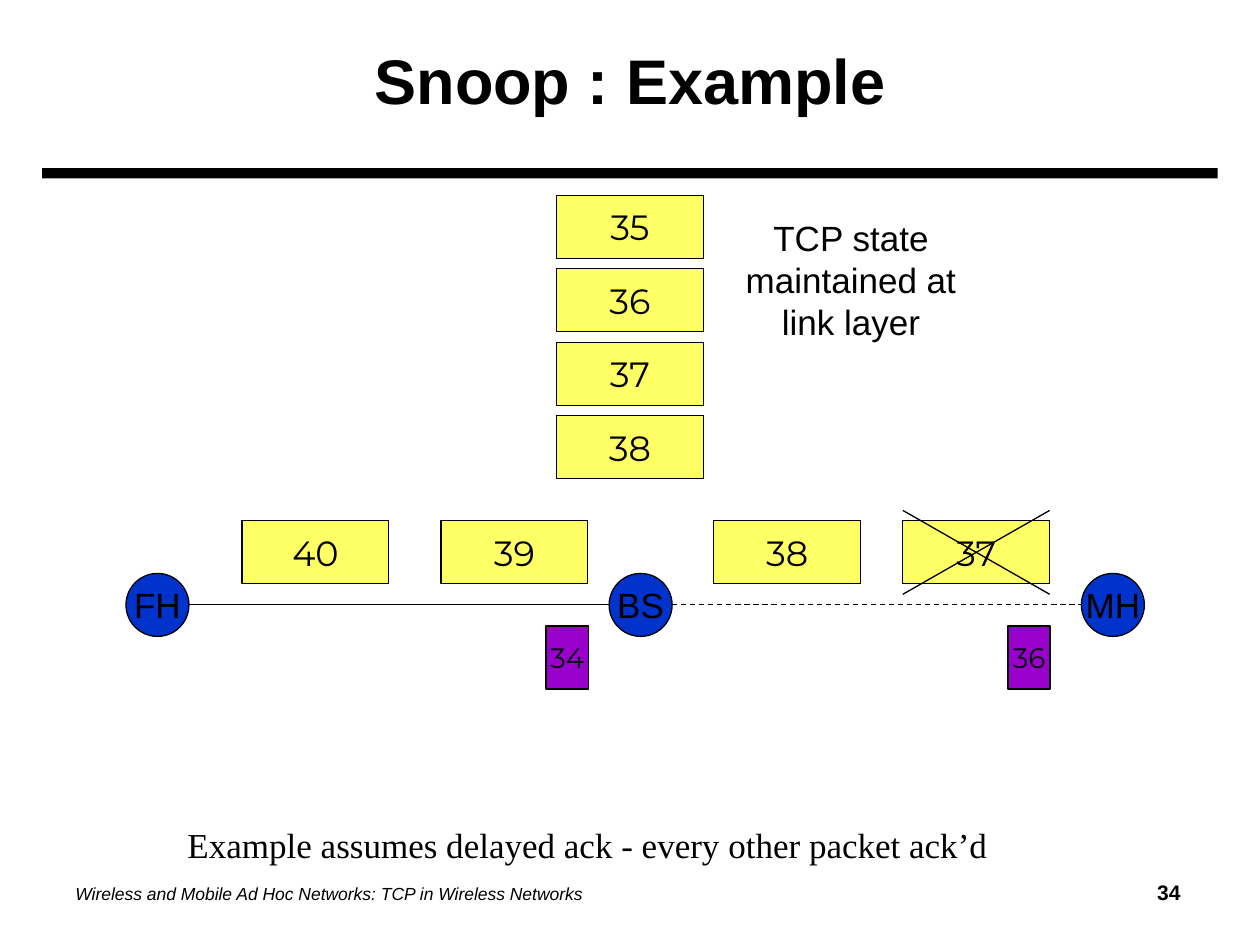
from dataclasses import dataclass, field
from typing import NamedTuple

from lxml.etree import SubElement
from pptx import Presentation
from pptx.dml.color import RGBColor
from pptx.enum.dml import MSO_LINE_DASH_STYLE as Dash
from pptx.enum.shapes import MSO_CONNECTOR as Connector, MSO_SHAPE as Preset
from pptx.enum.text import MSO_ANCHOR as Anchor, PP_ALIGN as Align
from pptx.oxml.ns import qn
from pptx.util import Cm, Pt


@dataclass(frozen=True)
class Theme:
    ink: str = "000000"
    host: str = "0033CC"
    packet: str = "FFFF66"
    ack: str = "9900CC"
    line_width: float = 0.75
    title: dict = field(default_factory=lambda: {"name": "Arial", "size": Pt(36), "bold": True})
    label: dict = field(default_factory=lambda: {"name": "Arial", "size": Pt(20)})
    packet_number: dict = field(default_factory=lambda: {"name": "Montserrat", "size": Pt(20)})
    ack_number: dict = field(default_factory=lambda: {"name": "Montserrat", "size": Pt(16)})
    caption: dict = field(default_factory=lambda: {"name": "Times New Roman", "size": Pt(20)})
    footer: dict = field(default_factory=lambda: {"name": "Arial", "size": Pt(10), "italic": True})
    page: dict = field(default_factory=lambda: {"name": "Arial", "size": Pt(12), "bold": True})


class Box(NamedTuple):
    left: float
    top: float
    width: float
    height: float

    def lengths(self) -> list:
        return [Cm(value) for value in self]


class Node(NamedTuple):
    text: str
    box: Box
    preset: Preset
    fill: str
    font: dict


class Link(NamedTuple):
    start: tuple[float, float]
    end: tuple[float, float]
    dash: Dash | None = None


THEME = Theme()
HOST_SIZE = 1.27
HOST_TOP = 11.56
HOST_LEFTS = {"FH": 2.54, "BS": 12.28, "MH": 21.8}
LINK_TOP = 12.19
PACKET_WIDTH = 2.96
PACKET_HEIGHT = 1.27
PACKET_TOP = 10.5
PACKET_LEFTS = {"40": 4.88, "39": 8.89, "38": 14.39, "37": 18.2}
CACHE_LEFT = 11.22
CACHE_TOP = 3.94
CACHE_PITCH = 1.48
CACHED_PACKETS = ("35", "36", "37", "38")
ACK_WIDTH = 0.85
ACK_TOP = 12.62
ACK_LEFTS = {"34": 11.01, "36": 20.32}
CROSS_OVERHANG = 0.21


def apply(target, values: dict) -> None:
    for name, value in values.items():
        setattr(target, name, value)


def format_font(font, values: dict) -> None:
    apply(font, values)
    font.color.rgb = RGBColor.from_string(THEME.ink)


def write(shape, text: str, font: dict, align: Align, wrap: bool = False) -> None:
    frame = shape.text_frame
    apply(frame, {"text": text, "word_wrap": wrap, "vertical_anchor": Anchor.MIDDLE})
    for paragraph in frame.paragraphs:
        paragraph.alignment = align
        for run in paragraph.runs:
            format_font(run.font, font)


def format_line(line) -> None:
    line.color.rgb = RGBColor.from_string(THEME.ink)
    line.width = Pt(THEME.line_width)


def add_filled_shape(slide, preset: Preset, box: Box, fill: str):
    shape = slide.shapes.add_shape(preset, *box.lengths())
    shape.shadow.inherit = False
    shape.fill.solid()
    shape.fill.fore_color.rgb = RGBColor.from_string(fill)
    return shape


def add_rule(slide) -> None:
    rule = add_filled_shape(slide, Preset.RECTANGLE, Box(0.85, 3.39, 23.7, 0.21), THEME.ink)
    rule.line.fill.background()


def add_node(slide, node: Node) -> None:
    shape = add_filled_shape(slide, node.preset, node.box, node.fill)
    format_line(shape.line)
    write(shape, node.text, node.font, Align.CENTER)


def add_link(slide, link: Link) -> None:
    connector = slide.shapes.add_connector(
        Connector.STRAIGHT, *(Cm(value) for value in link.start + link.end)
    )
    format_line(connector.line)
    if link.dash:
        connector.line.dash_style = link.dash
    SubElement(connector._element.spPr, qn("a:effectLst"))


def add_text(slide, text: str, box: Box, font: dict, align: Align) -> None:
    write(slide.shapes.add_textbox(*box.lengths()), text, font, align)


def add_title(slide, text: str) -> None:
    title = slide.shapes.title
    box = Box(1.91, 0, 21.59, 3.18)
    apply(title, dict(zip(box._fields, box.lengths())))
    write(title, text, THEME.title, Align.CENTER, wrap=True)


def add_footer(slide, text: str, page: str) -> None:
    box = Box(1.27, 17.35, 22.86, 1.27)
    footer = slide.shapes.add_textbox(*box.lengths())
    write(footer, text, THEME.footer, Align.LEFT, wrap=True)
    paragraph = footer.text_frame.paragraphs[0]
    tabs = SubElement(paragraph._p.get_or_add_pPr(), qn("a:tabLst"))
    SubElement(tabs, qn("a:tab"), pos=str(Cm(22.28)), algn="r")
    run = paragraph.add_run()
    run.text = f"\t{page}"
    format_font(run.font, THEME.page)


def host(text: str, left: float) -> Node:
    return Node(text, Box(left, HOST_TOP, HOST_SIZE, HOST_SIZE), Preset.OVAL, THEME.host, THEME.label)


def packet(text: str, left: float, top: float) -> Node:
    box = Box(left, top, PACKET_WIDTH, PACKET_HEIGHT)
    return Node(text, box, Preset.RECTANGLE, THEME.packet, THEME.packet_number)


def ack(text: str, left: float) -> Node:
    box = Box(left, ACK_TOP, ACK_WIDTH, PACKET_HEIGHT)
    return Node(text, box, Preset.RECTANGLE, THEME.ack, THEME.ack_number)


def main() -> None:
    presentation = Presentation()
    apply(presentation, {"slide_width": Cm(25.4), "slide_height": Cm(19.05)})
    slide = presentation.slides.add_slide(presentation.slide_layouts[5])

    add_rule(slide)
    add_footer(slide, "Wireless and Mobile Ad Hoc Networks: TCP in Wireless Networks", "34")
    add_title(slide, "Snoop : Example")

    nodes = [host(text, left) for text, left in HOST_LEFTS.items()]
    nodes += [packet(text, left, PACKET_TOP) for text, left in PACKET_LEFTS.items()]
    nodes += [ack(text, left) for text, left in ACK_LEFTS.items()]
    nodes += [
        packet(text, CACHE_LEFT, CACHE_TOP + row * CACHE_PITCH)
        for row, text in enumerate(CACHED_PACKETS)
    ]
    for node in nodes:
        add_node(slide, node)

    fixed, base, mobile = HOST_LEFTS.values()
    lost_left = PACKET_LEFTS["37"]
    lost_right = lost_left + PACKET_WIDTH
    cross_top = PACKET_TOP - CROSS_OVERHANG
    cross_bottom = PACKET_TOP + PACKET_HEIGHT + CROSS_OVERHANG
    links = [
        Link((fixed + HOST_SIZE, LINK_TOP), (base, LINK_TOP)),
        Link((base + HOST_SIZE, LINK_TOP), (mobile, LINK_TOP), Dash.DASH),
        Link((lost_left, cross_top), (lost_right, cross_bottom)),
        Link((lost_left, cross_bottom), (lost_right, cross_top)),
    ]
    for link in links:
        add_link(slide, link)

    add_text(slide, "Example assumes delayed ack - every other packet ack’d",
             Box(3.53, 16.46, 16.64, 1.12), THEME.caption, Align.LEFT)
    add_text(slide, "TCP state\nmaintained at\nlink layer",
             Box(14.78, 4.24, 4.75, 2.79), THEME.label, Align.CENTER)

    presentation.save("out.pptx")


if __name__ == "__main__":
    main()
